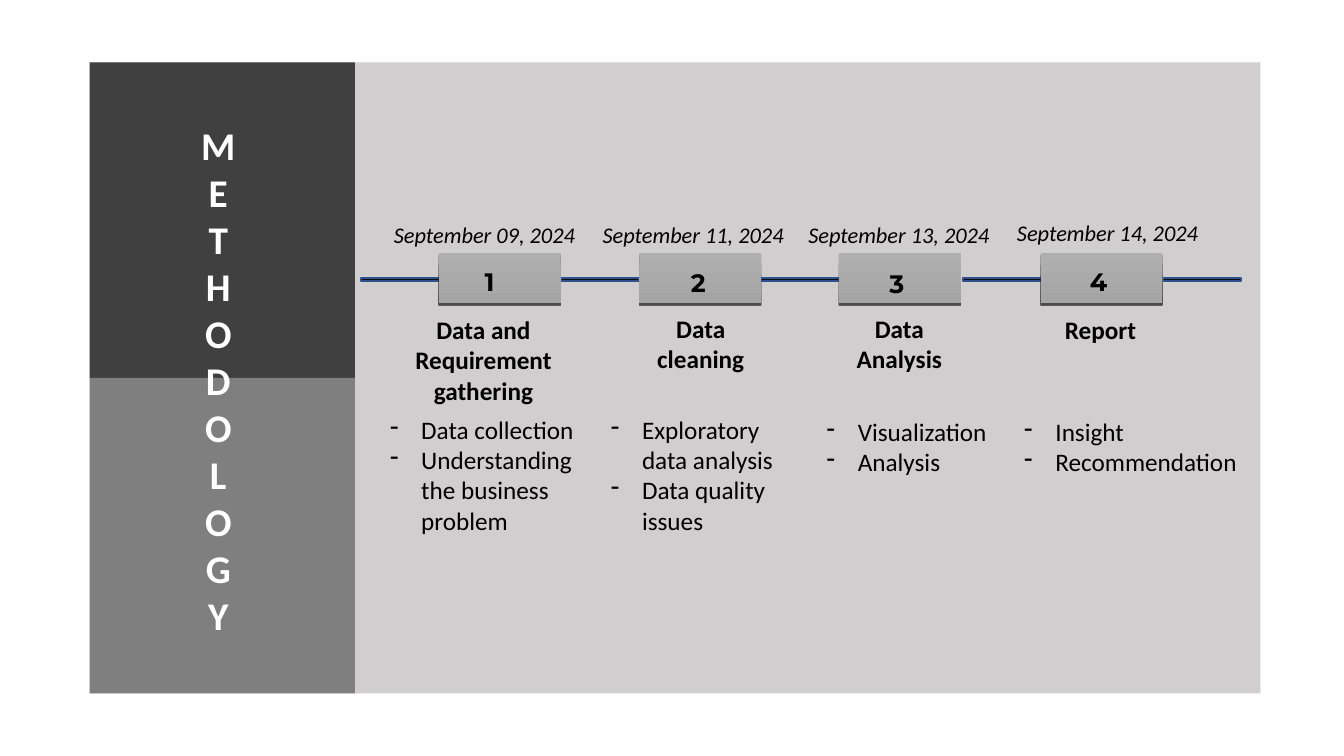
from dataclasses import dataclass

from lxml import etree
from pptx import Presentation
from pptx import util as u
from pptx.dml.color import RGBColor
from pptx.enum import shapes, text
from pptx.oxml import ns

SCALE = 9144  # EMU per px, 100 px to the inch
INK = {
    "panel": "D0CECE", "dark": "404040", "mid": "7F7F7F", "white": "FFFFFF",
    "black": "000000", "bar": "0D0D0D", "edge": "2F528F",
    "top": "AFAFAF", "base": "A5A5A5",
}
Box = tuple[int, int, int, int]


@dataclass
class Font:
    size: int
    name: str = "Calibri"
    ink: str = "black"
    bold: bool = False
    slant: bool = False


@dataclass
class Step:
    left: int
    date: str
    date_at: Box
    mark_at: Box
    head: str
    head_at: Box
    tasks: list[str]
    tasks_at: Box


TITLE = Font(28, ink="white", bold=True)
DATE = Font(16, slant=True)
MARK = Font(18, "Montserrat", bold=True)
HEAD = Font(18, bold=True)
TASK = Font(18)

STEP_TOP, STEP_W, STEP_H = 251, 121, 50
LINK_TOP, LINK_W, LINK_H = 276, 77, 3
INDENT = 31

STEPS = [
    Step(435, "September 09, 2024", (373, 214, 215, 37), (425, 259, 121, 40),
         "Data and Requirement gathering", (399, 307, 161, 101),
         ["Data collection", "Understanding the business problem"],
         (377, 406, 216, 132)),
    Step(634, "September 11, 2024", (580, 214, 215, 37), (632, 260, 121, 40),
         "Data cleaning", (619, 306, 152, 71),
         ["Exploratory data analysis", "Data quality issues"],
         (596, 406, 187, 131)),
    Step(832, "September 13, 2024", (784, 214, 215, 37), (829, 261, 121, 40),
         "Data Analysis", (822, 306, 140, 71),
         ["Visualization", "Analysis"], (810, 408, 183, 71)),
    Step(1032, "September 14, 2024", (991, 213, 215, 37), (1029, 259, 121, 40),
         "Report", (1005, 307, 173, 40),
         ["Insight", "Recommendation"], (1006, 408, 238, 71)),
]


def px(n: int) -> u.Emu:
    return u.Emu(n * SCALE)


def tint(key: str) -> RGBColor:
    return RGBColor.from_string(INK[key])


def add_rect(slide, box: Box, fill: str | None = None):
    rect = slide.shapes.add_shape(shapes.MSO_SHAPE.RECTANGLE, *map(px, box))
    rect.shadow.inherit = False
    rect.line.fill.background()
    if fill:
        rect.fill.solid()
        rect.fill.fore_color.rgb = tint(fill)
    return rect


def add_link(slide, left: int) -> None:
    link = add_rect(slide, (left, LINK_TOP, LINK_W, LINK_H), "bar")
    link.line.color.rgb = tint("edge")
    link.line.width = u.Pt(1)


def add_block(slide, left: int) -> None:
    """Draw a step's shaded box with a hard shadow along its foot."""
    block = add_rect(slide, (left, STEP_TOP, STEP_W, STEP_H))
    block.fill.gradient()
    block.fill.gradient_angle = 270
    for stop, key in zip(block.fill.gradient_stops, ("top", "base")):
        stop.color.rgb = tint(key)
    glow = block._element.spPr.find(ns.qn("a:effectLst"))
    cast = etree.SubElement(glow, ns.qn("a:outerShdw"), blurRad="0",
                            dist=str(u.Pt(1.5)), dir="5400000",
                            algn="ctr", rotWithShape="0")
    hue = etree.SubElement(cast, ns.qn("a:srgbClr"), val=INK["black"])
    etree.SubElement(hue, ns.qn("a:alpha"), val="63000")


def add_dash(para) -> None:
    """Give a paragraph a hanging dash as its bullet."""
    props = para._p.get_or_add_pPr()
    props.set("marL", str(px(INDENT)))
    props.set("indent", str(-px(INDENT)))
    hue = etree.SubElement(props, ns.qn("a:buClr"))
    etree.SubElement(hue, ns.qn("a:srgbClr"), val=INK["black"])
    etree.SubElement(props, ns.qn("a:buChar"), char="-")


def add_text(slide, box: Box, lines: list[str], font: Font,
             dash: bool = False) -> None:
    frame = slide.shapes.add_textbox(*map(px, box)).text_frame
    frame.word_wrap = True
    frame.auto_size = text.MSO_AUTO_SIZE.SHAPE_TO_FIT_TEXT
    for i, line in enumerate(lines):
        para = frame.add_paragraph() if i else frame.paragraphs[0]
        if dash:
            add_dash(para)
        else:
            para.alignment = text.PP_ALIGN.CENTER
        run = para.add_run()
        run.text = line
        run.font.size = u.Pt(font.size)
        run.font.name = font.name
        run.font.bold = font.bold
        run.font.italic = font.slant
        run.font.color.rgb = tint(font.ink)


def add_step(slide, num: int, step: Step) -> None:
    add_link(slide, step.left - LINK_W)
    add_block(slide, step.left)
    add_text(slide, step.date_at, [step.date], DATE)
    add_text(slide, step.mark_at, [str(num)], MARK)
    add_text(slide, step.head_at, [step.head], HEAD)
    add_text(slide, step.tasks_at, step.tasks, TASK, dash=True)


def main() -> None:
    deck = Presentation()
    deck.slide_width, deck.slide_height = px(1333), px(750)
    slide = deck.slides.add_slide(deck.slide_layouts[6])

    add_rect(slide, (89, 62, 1161, 626), "panel")
    add_rect(slide, (89, 62, 263, 313), "dark")
    add_rect(slide, (89, 375, 263, 313), "mid")
    add_text(slide, (85, 115, 263, 528), list("METHODOLOGY"), TITLE)

    for num, step in enumerate(STEPS, 1):
        add_step(slide, num, step)
    add_link(slide, STEPS[-1].left + STEP_W + 1)

    deck.save("out.pptx")


if __name__ == "__main__":
    main()
